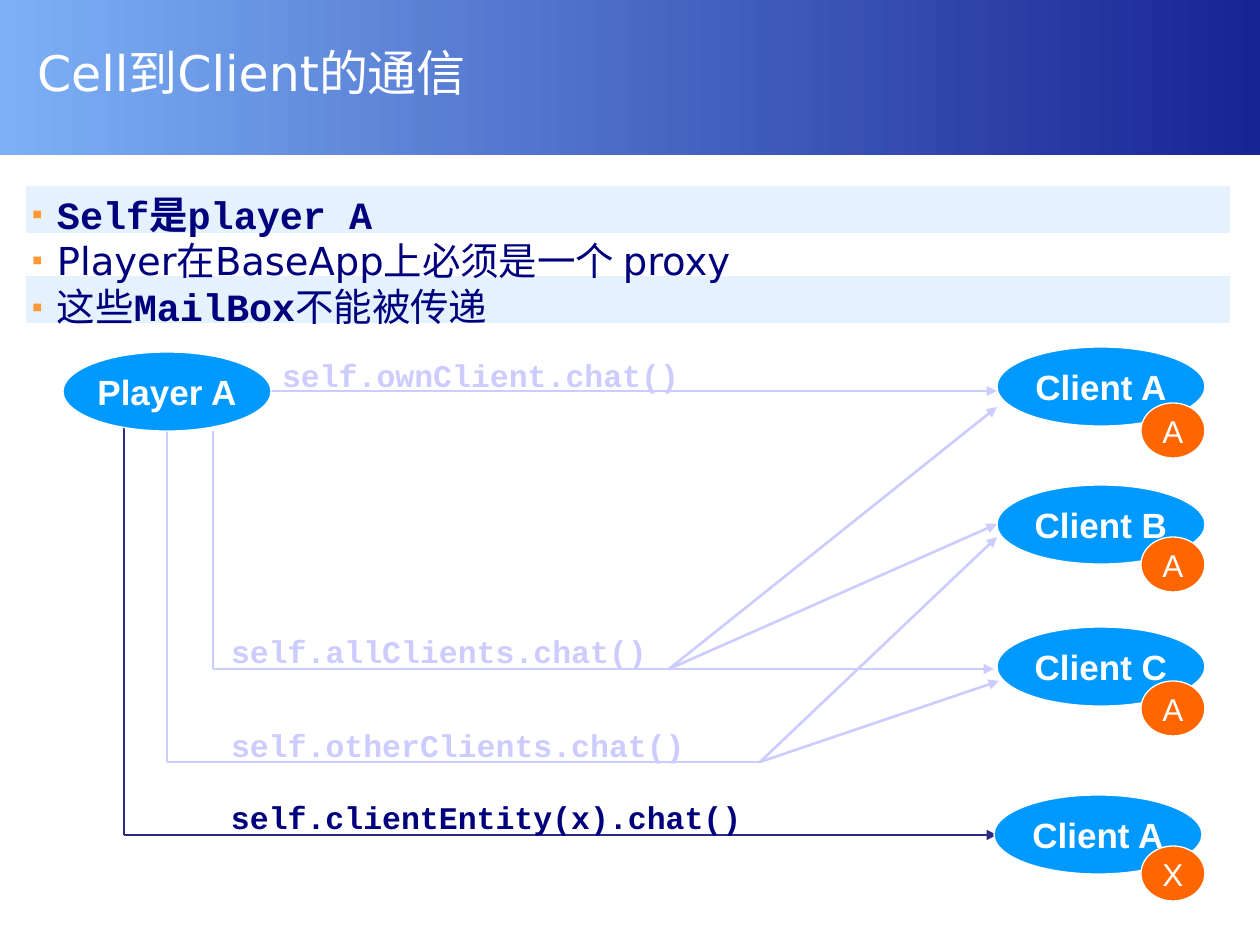
from dataclasses import dataclass
from itertools import pairwise

from lxml import etree
from pptx import Presentation, util as u
from pptx.dml.color import RGBColor
from pptx.enum import shapes, text
from pptx.oxml import ns

WHITE = RGBColor(0xFF, 0xFF, 0xFF)
HEADER_LIGHT = RGBColor(0x7C, 0xB0, 0xF6)
HEADER_DARK = RGBColor(0x18, 0x24, 0x94)
BAND = RGBColor(0xE6, 0xF1, 0xFE)
NAVY = RGBColor(0x00, 0x00, 0x7D)
ACTIVE = RGBColor(0x2B, 0x2B, 0x85)
FADED = RGBColor(0xCC, 0xCC, 0xFF)
NODE_BLUE = RGBColor(0x00, 0x99, 0xFF)
BADGE_ORANGE = RGBColor(0xFF, 0x66, 0x00)
BULLET_HEX = "FF9933"

SANS, MONO, ARIAL = "DejaVu Sans", "Courier New", "Arial"
PX_PER_INCH = 126
NODE_SIZE, BADGE_SIZE = (208, 79), (64, 55)
BADGE_LEFT = 1141

Point = tuple[int, int]


@dataclass
class Oval:
    label: str
    left: int
    top: int


@dataclass
class Route:
    trunk: list[Point]
    tips: list[Point]
    color: RGBColor


@dataclass
class Call:
    code: str
    left: int
    top: int
    width: int
    color: RGBColor = FADED


NODES = [
    Oval("Player A", 63, 352),
    Oval("Client A", 997, 347),
    Oval("Client B", 997, 485),
    Oval("Client C", 997, 627),
    Oval("Client A", 994, 795),
]
BADGES = [Oval(label, BADGE_LEFT, top)
          for label, top in zip("AAAX", (403, 537, 681, 846))]
ROUTES = [
    Route([(271, 391)], [(997, 391)], FADED),
    Route([(213, 431), (213, 669), (669, 669)],
          [(997, 407), (997, 524), (994, 669)], FADED),
    Route([(167, 431), (167, 762), (760, 762)], [(997, 537), (999, 681)], FADED),
    Route([(124, 428), (124, 835)], [(997, 835)], ACTIVE),
]
CALLS = [
    Call("self.ownClient.chat()", 282, 356, 400),
    Call("self.otherClients.chat()", 231, 726, 458),
    Call("self.allClients.chat()", 231, 632, 420),
    Call("self.clientEntity(x).chat()", 231, 798, 516, NAVY),
]
# Each bullet is a list of (text, font, bold).
BULLETS = [
    [("Self是player A", MONO, True)],
    [("Player在BaseApp上必须是一个 proxy", SANS, False)],
    [("这些", SANS, False), ("MailBox", MONO, True), ("不能被传递", SANS, False)],
]


def px(length: int) -> u.Emu:
    return u.Emu(round(length * 914400 / PX_PER_INCH))


def apply(target, **values) -> None:
    for name, value in values.items():
        setattr(target, name, value)


def place(shape, left: int, top: int, width: int, height: int) -> None:
    apply(shape, left=px(left), top=px(top), width=px(width), height=px(height))


def set_frame(frame, margins: tuple[int, int, int, int], **values) -> None:
    """Set the left, top, right and bottom margins, then other frame values."""
    for side, margin in zip(("left", "top", "right", "bottom"), margins):
        setattr(frame, f"margin_{side}", px(margin))
    apply(frame, **values)


def add_span(para, words: str, font: str, size: int, color: RGBColor,
             bold: bool = False) -> None:
    span = para.add_run()
    span.text = words
    apply(span.font, name=font, size=u.Pt(size), bold=bold)
    span.font.color.rgb = color


def add_filled(page, kind, left: int, top: int, width: int, height: int,
               color: RGBColor):
    shape = page.shapes.add_shape(kind, *map(px, (left, top, width, height)))
    shape.shadow.inherit = False
    shape.fill.solid()
    shape.fill.fore_color.rgb = color
    shape.line.color.rgb = WHITE
    shape.line.width = u.Pt(0.75)
    return shape


def add_oval(page, oval: Oval, size: Point, color: RGBColor, points: int,
             bold: bool) -> None:
    shape = add_filled(page, shapes.MSO_SHAPE.OVAL, oval.left, oval.top, *size, color)
    set_frame(shape.text_frame, (12, 6, 12, 6), word_wrap=False,
              vertical_anchor=text.MSO_ANCHOR.MIDDLE)
    para = shape.text_frame.paragraphs[0]
    apply(para, alignment=text.PP_ALIGN.CENTER, space_before=u.Pt(points * 0.625))
    add_span(para, oval.label, ARIAL, points, WHITE, bold)


def add_segment(page, start: Point, end: Point, color: RGBColor,
                arrow: bool = False) -> None:
    line = page.shapes.add_connector(
        shapes.MSO_CONNECTOR.STRAIGHT, *map(px, start + end))
    line.line.color.rgb = color
    line.line.width = u.Pt(1.5)
    if arrow:
        etree.SubElement(line.line._get_or_add_ln(), ns.qn("a:tailEnd"), type="triangle")
    etree.SubElement(line.element.spPr, ns.qn("a:effectLst"))


def add_route(page, route: Route) -> None:
    """Draw the trunk, then an arrow from its end to every tip."""
    for start, end in pairwise(route.trunk):
        add_segment(page, start, end, route.color)
    for tip in route.tips:
        add_segment(page, route.trunk[-1], tip, route.color, arrow=True)


def add_call(page, call: Call) -> None:
    box = page.shapes.add_textbox(*map(px, (call.left, call.top, call.width, 38)))
    set_frame(box.text_frame, (0, 0, 0, 0), word_wrap=False,
              auto_size=text.MSO_AUTO_SIZE.SHAPE_TO_FIT_TEXT)
    add_span(box.text_frame.paragraphs[0], call.code, MONO, 18, call.color, True)


def set_bullet(para) -> None:
    props = para._p.get_or_add_pPr()
    props.set("marL", str(px(25)))
    props.set("indent", str(-px(25)))
    color = etree.SubElement(props, ns.qn("a:buClr"))
    etree.SubElement(color, ns.qn("a:srgbClr"), val=BULLET_HEX)
    etree.SubElement(props, ns.qn("a:buSzPct"), val="80000")
    etree.SubElement(props, ns.qn("a:buFont"), typeface=ARIAL)
    etree.SubElement(props, ns.qn("a:buChar"), char="▪")


def add_background(page) -> None:
    rectangle = shapes.MSO_SHAPE.RECTANGLE
    header = add_filled(page, rectangle, 0, 0, 1260, 155, HEADER_LIGHT)
    header.line.fill.background()
    header.fill.gradient()
    header.fill.gradient_angle = 0
    for stop, color in zip(header.fill.gradient_stops, (HEADER_LIGHT, HEADER_DARK)):
        stop.color.rgb = color
    for top in (185, 275):
        add_filled(page, rectangle, 25, top, 1206, 49, BAND)


def fill_title(title) -> None:
    place(title, 25, 0, 1206, 145)
    set_frame(title.text_frame, (12, 5, 12, 6), word_wrap=True,
              auto_size=text.MSO_AUTO_SIZE.NONE,
              vertical_anchor=text.MSO_ANCHOR.MIDDLE)
    para = title.text_frame.paragraphs[0]
    apply(para, alignment=text.PP_ALIGN.LEFT, line_spacing=1.01)
    add_span(para, "Cell到Client的通信", SANS, 28, WHITE)


def fill_body(body) -> None:
    place(body, 25, 190, 1206, 134)
    frame = body.text_frame
    set_frame(frame, (7, 1, 0, 0), word_wrap=True,
              auto_size=text.MSO_AUTO_SIZE.NONE,
              vertical_anchor=text.MSO_ANCHOR.TOP)
    for index, spans in enumerate(BULLETS):
        para = frame.add_paragraph() if index else frame.paragraphs[0]
        para.space_before = u.Pt(0)
        set_bullet(para)
        for words, font, bold in spans:
            add_span(para, words, font, 22, NAVY, bold)


def main() -> None:
    deck = Presentation()
    apply(deck, slide_width=u.Inches(10), slide_height=u.Inches(7.5))
    page = deck.slides.add_slide(deck.slide_layouts[1])
    title, body = page.placeholders
    layers = title.element.getparent()

    add_background(page)
    layers.append(title.element)
    fill_title(title)
    for route in ROUTES:
        add_route(page, route)
    for call in CALLS:
        add_call(page, call)
    for node in NODES:
        add_oval(page, node, NODE_SIZE, NODE_BLUE, 20, True)
    for badge in BADGES:
        add_oval(page, badge, BADGE_SIZE, BADGE_ORANGE, 18, False)
    layers.append(body.element)
    fill_body(body)
    deck.save("out.pptx")


if __name__ == "__main__":
    main()
